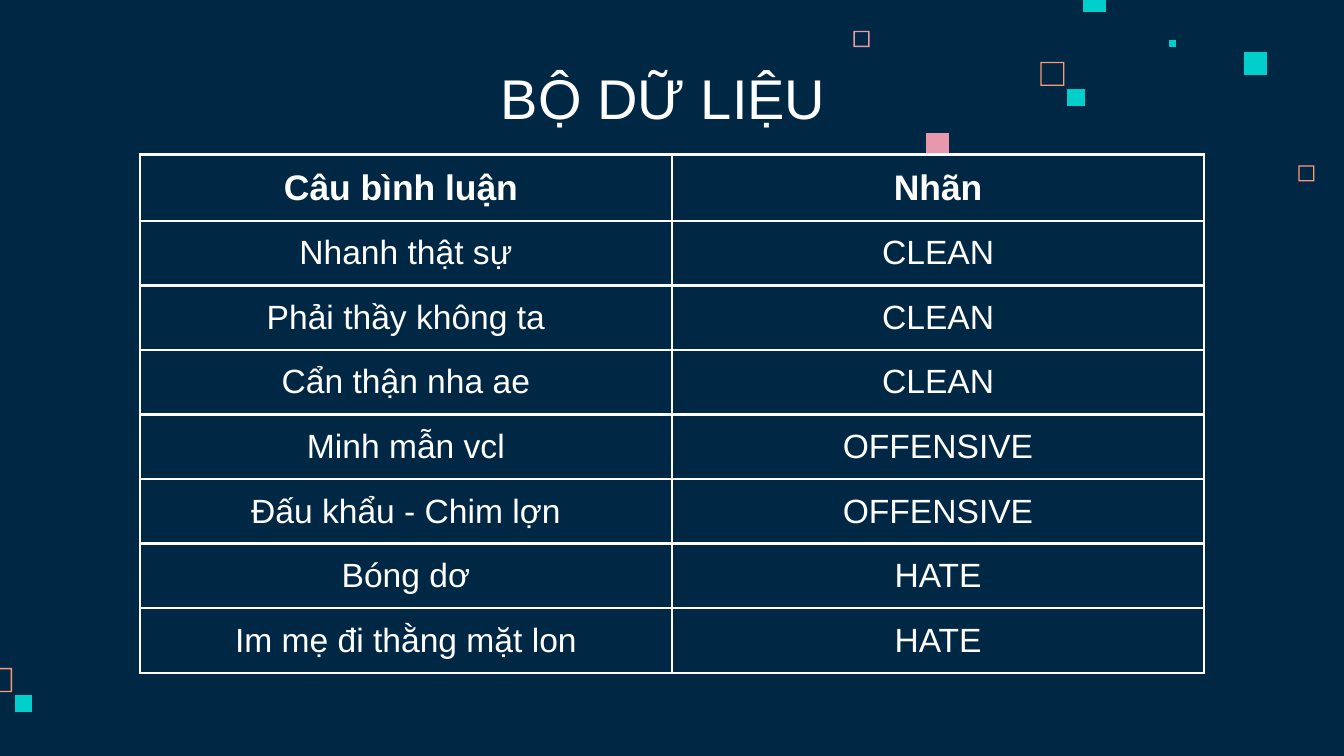
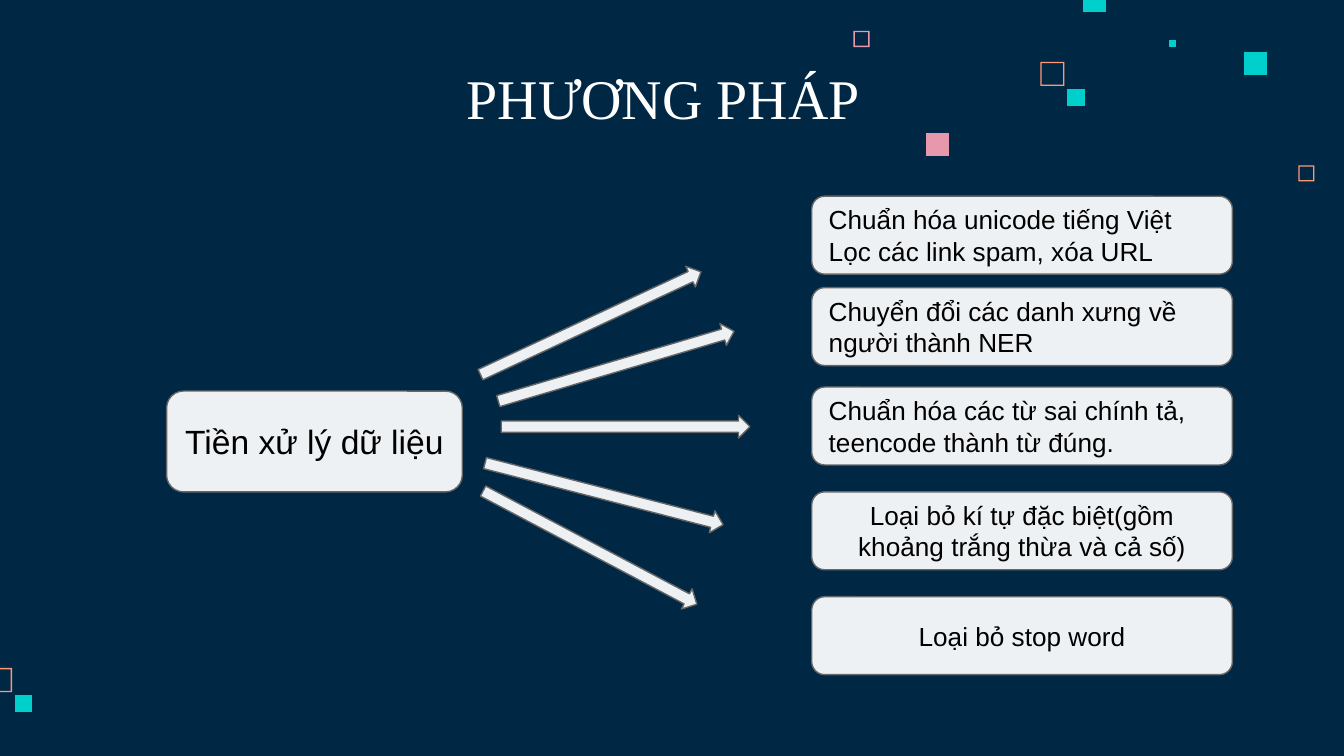
from pptx import Presentation
from pptx.dml.color import RGBColor
from pptx.enum.shapes import MSO_SHAPE
from pptx.enum.text import MSO_ANCHOR, PP_ALIGN
from pptx.oxml import parse_xml
from pptx.oxml.ns import nsdecls
from pptx.util import Inches, Pt

NAVY = RGBColor(0x00, 0x28, 0x45)
WHITE = RGBColor(0xFF, 0xFF, 0xFF)
BLACK = RGBColor(0x00, 0x00, 0x00)
ORANGE = RGBColor(0xFF, 0x99, 0x73)
PINK = RGBColor(0xE8, 0x98, 0xAC)
TEAL = RGBColor(0x00, 0xCF, 0xCC)
PALE = RGBColor(0xEE, 0xF1, 0xF3)
GREY = RGBColor(0x66, 0x66, 0x66)

SANS = "Arial"
SERIF = "Times New Roman"
SLIDE_WIDTH = Inches(10)
SLIDE_HEIGHT = SLIDE_WIDTH * 9 // 16
INSET = Inches(0.1)
FRAME_THICKNESS = 0.01

FILLED_SQUARES = [
    (8.7, 0.3, 0.05, TEAL),
    (8.06, -0.08, 0.17, TEAL),
    (9.26, 0.39, 0.17, TEAL),
    (7.94, 0.66, 0.13, TEAL),
    (6.89, 0.99, 0.17, PINK),
    (0.11, 5.17, 0.13, TEAL),
]
HOLLOW_SQUARES = [
    (9.66, 1.23, 0.12, ORANGE),
    (6.35, 0.23, 0.12, PINK),
    (7.74, 0.46, 0.18, ORANGE),
    (-0.09, 4.97, 0.18, ORANGE),
]
COMMENT_ROWS = [
    ("Câu bình luận ", "Nhãn"),
    ("Nhanh thật sự", "CLEAN"),
    ("Phải thầy không ta", "CLEAN"),
    ("Cẩn thận nha ae", "CLEAN"),
    ("Minh mẫn vcl", "OFFENSIVE"),
    ("Đấu khẩu - Chim lợn", "OFFENSIVE"),
    ("Bóng dơ", "HATE"),
    ("Im mẹ đi thằng mặt lon", "HATE"),
]
STEPS = [
    (1.46, PP_ALIGN.LEFT, ["Chuẩn hóa unicode tiếng Việt", "Lọc các link spam, xóa URL"]),
    (2.14, PP_ALIGN.LEFT, ["Chuyển đổi các danh xưng về người thành NER"]),
    (2.88, PP_ALIGN.LEFT, ["Chuẩn hóa các từ sai chính tả, teencode thành từ đúng."]),
    (3.66, PP_ALIGN.CENTER, ["Loại bỏ kí tự đặc biệt(gồm khoảng trắng thừa và cả số)"]),
    (4.44, PP_ALIGN.CENTER, ["Loại bỏ stop word"]),
]
ARROWS = [
    (3.49, 2.32, 1.81, 335),
    (3.67, 2.64, 1.83, 343.5),
    (3.73, 3.09, 1.85, 0),
    (3.58, 3.59, 1.83, 14.5),
    (3.49, 3.99, 1.8, 27.9),
]


def add_run(paragraph, text, size, colour, font=SANS, bold=False):
    run = paragraph.add_run()
    run.text = text
    run.font.name = font
    run.font.size = Pt(size)
    run.font.bold = bold
    run.font.color.rgb = colour


def set_insets(text_frame):
    text_frame.margin_left = text_frame.margin_right = INSET
    text_frame.margin_top = text_frame.margin_bottom = INSET


def square_corners(left, top, size):
    right, bottom = left + size, top + size
    corners = [(left, top), (left, bottom), (right, bottom), (right, top)]
    return [(Inches(x), Inches(y)) for x, y in corners]


def add_square(slide, left, top, size, colour, hollow=False):
    outer = square_corners(left, top, size)
    builder = slide.shapes.build_freeform(*outer[0])
    builder.add_line_segments(outer[1:])
    if hollow:
        inner = square_corners(
            left + FRAME_THICKNESS, top + FRAME_THICKNESS, size - 2 * FRAME_THICKNESS
        )
        inner.reverse()
        builder.move_to(*inner[0])
        builder.add_line_segments(inner[1:])
    shape = builder.convert_to_shape()
    shape.shadow.inherit = False
    shape.fill.solid()
    shape.fill.fore_color.rgb = colour
    shape.line.fill.background()
    return shape


def prepare_layout(layout):
    layout.background.fill.solid()
    layout.background.fill.fore_color.rgb = NAVY
    title, *others = layout.placeholders
    for placeholder in others:
        layout.shapes.element.remove(placeholder.element)
    title.left, title.top = Inches(0.66), Inches(0.44)
    title.width, title.height = Inches(8.55), Inches(0.63)
    title.text_frame.vertical_anchor = MSO_ANCHOR.BOTTOM
    set_insets(title.text_frame)


def decorate_layout(layout, slide):
    squares = [add_square(slide, *square, hollow=True) for square in HOLLOW_SQUARES]
    squares += [add_square(slide, *square) for square in FILLED_SQUARES]
    for square in squares:
        layout.shapes.element.append(square.element)


def add_titled_slide(presentation, layout, text, font):
    slide = presentation.slides.add_slide(layout)
    paragraph = slide.shapes.title.text_frame.paragraphs[0]
    paragraph.alignment = PP_ALIGN.CENTER
    add_run(paragraph, text, 30, WHITE, font)
    return slide


def set_cell_borders(cell, colour, width):
    properties = cell._tc.get_or_add_tcPr()
    for side in ("lnL", "lnR", "lnT", "lnB"):
        properties.append(parse_xml(
            f'<a:{side} {nsdecls("a")} w="{Pt(width)}"><a:solidFill>'
            f'<a:srgbClr val="{colour}"/></a:solidFill></a:{side}>'
        ))


def add_comment_table(slide):
    row_height = Inches(0.42)
    column_width = Inches(3.96)
    table = slide.shapes.add_table(
        len(COMMENT_ROWS), 2, Inches(1.04), Inches(1.15),
        2 * column_width, len(COMMENT_ROWS) * row_height,
    ).table
    table.first_row = table.horz_banding = False
    for row_index, texts in enumerate(COMMENT_ROWS):
        heading = row_index == 0
        for column_index, text in enumerate(texts):
            cell = table.cell(row_index, column_index)
            set_insets(cell)
            set_cell_borders(cell, WHITE, 1.5)
            cell.fill.background()
            paragraph = cell.text_frame.paragraphs[0]
            paragraph.alignment = PP_ALIGN.CENTER
            add_run(paragraph, text, 19 if heading else 18, WHITE, bold=heading)


def add_pale_shape(slide, kind, left, top, width, height):
    shape = slide.shapes.add_shape(
        kind, Inches(left), Inches(top), Inches(width), Inches(height)
    )
    shape.shadow.inherit = False
    shape.fill.solid()
    shape.fill.fore_color.rgb = PALE
    shape.line.color.rgb = GREY
    shape.line.width = Pt(0.75)
    return shape


def add_box(slide, left, top, width, height, lines, size, alignment=PP_ALIGN.CENTER):
    shape = add_pale_shape(slide, MSO_SHAPE.ROUNDED_RECTANGLE, left, top, width, height)
    text_frame = shape.text_frame
    text_frame.word_wrap = True
    text_frame.vertical_anchor = MSO_ANCHOR.MIDDLE
    set_insets(text_frame)
    for index, line in enumerate(lines):
        paragraph = text_frame.add_paragraph() if index else text_frame.paragraphs[0]
        paragraph.alignment = alignment
        add_run(paragraph, line, size, BLACK)


def add_arrow(slide, left, top, length, rotation):
    arrow = add_pale_shape(slide, MSO_SHAPE.RIGHT_ARROW, left, top, length, 0.17)
    arrow.rotation = rotation


def main():
    presentation = Presentation()
    presentation.slide_width = SLIDE_WIDTH
    presentation.slide_height = SLIDE_HEIGHT
    layout = presentation.slide_layouts[0]
    prepare_layout(layout)

    data_slide = add_titled_slide(presentation, layout, "BỘ DỮ LIỆU", SANS)
    decorate_layout(layout, data_slide)
    add_comment_table(data_slide)

    method_slide = add_titled_slide(presentation, layout, "PHƯƠNG PHÁP", SERIF)
    add_box(method_slide, 1.24, 2.91, 2.2, 0.75, ["Tiền xử lý dữ liệu"], 18)
    for top, alignment, lines in STEPS:
        add_box(method_slide, 6.04, top, 3.13, 0.58, lines, 14, alignment)
    for arrow in ARROWS:
        add_arrow(method_slide, *arrow)

    presentation.save("out.pptx")


if __name__ == "__main__":
    main()
